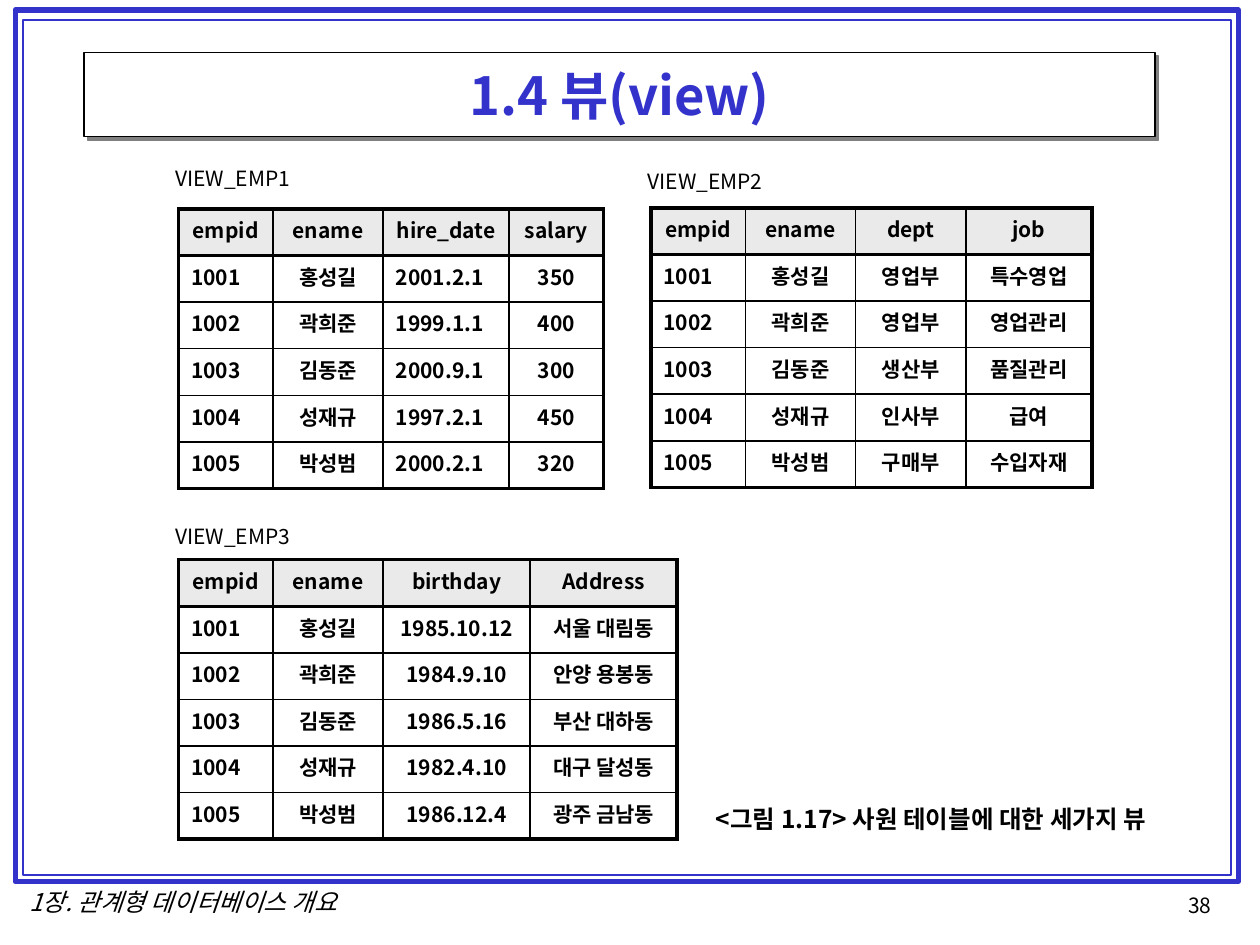
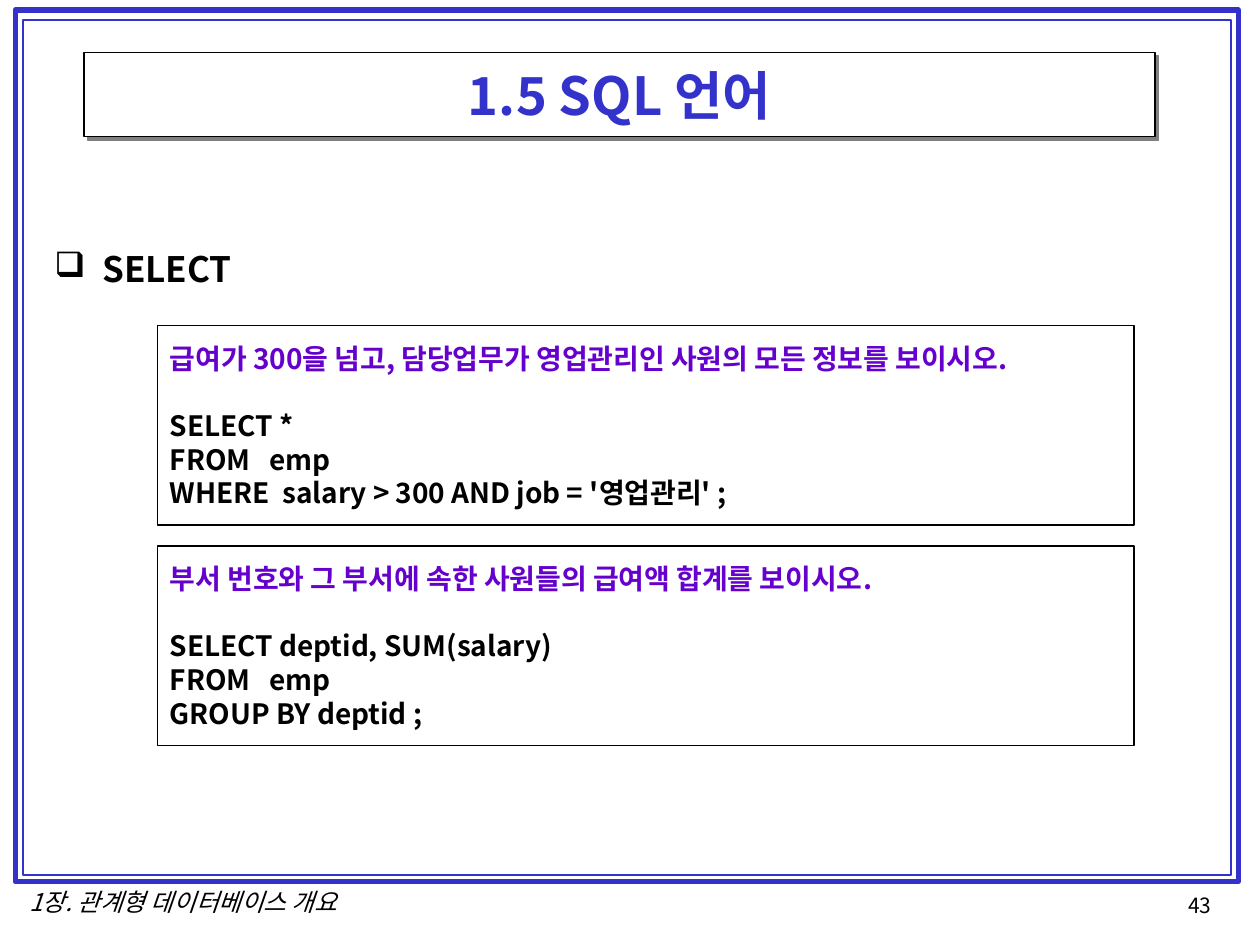
from lxml.etree import SubElement
from pptx import Presentation
from pptx.dml.color import RGBColor
from pptx.enum.shapes import MSO_SHAPE as Shape
from pptx.enum.text import MSO_ANCHOR as Anchor, PP_ALIGN as Align
from pptx.oxml import parse_xml
from pptx.oxml.ns import nsdecls, qn
from pptx.util import Inches, Pt

FONT = "Noto Sans CJK KR"
BLACK, WHITE, BLUE, PURPLE = "000000", "FFFFFF", "3333CC", "6600CC"
HEADER_GREY, SHADOW_GREY = "EAEAEA", "808080"
UNITS_PER_INCH = 12
ROW_HEIGHT = 4.44
THIN, THICK = 1, 2.25

CHAPTER = "1장. 관계형 데이터베이스 개요"
FRAMES = [((1.44, 0.96, 116.5, 83), 3), ((2.16, 1.92, 115.1, 81.4), 1)]
TITLE_BOX = (8, 5, 102, 8)

EMPLOYEES = [("1001", "홍성길"), ("1002", "곽희준"), ("1003", "김동준"),
             ("1004", "성재규"), ("1005", "박성범")]
EMPLOYEE_COLUMNS = [("empid", 9), ("ename", 10.5)]
LEFT_ALIGNED = {"empid", "hire_date"}

VIEWS = [
    dict(name="VIEW_EMP1", left=17, top=19.9, label_top=15.2,
         columns=[("hire_date", 12), ("salary", 9)],
         rows=[("2001.2.1", "350"), ("1999.1.1", "400"), ("2000.9.1", "300"),
               ("1997.2.1", "450"), ("2000.2.1", "320")]),
    dict(name="VIEW_EMP2", left=62, top=19.8, label_top=15.5,
         columns=[("dept", 10.5), ("job", 12)],
         rows=[("영업부", "특수영업"), ("영업부", "영업관리"), ("생산부", "품질관리"),
               ("인사부", "급여"), ("구매부", "수입자재")]),
    dict(name="VIEW_EMP3", left=17, top=53.3, label_top=49.3,
         columns=[("birthday", 14), ("Address", 14)],
         rows=[("1985.10.12", "서울 대림동"), ("1984.9.10", "안양 용봉동"),
               ("1986.5.16", "부산 대하동"), ("1982.4.10", "대구 달성동"),
               ("1986.12.4", "광주 금남동")]),
]
CAPTION = "<그림 1.17> 사원 테이블에 대한 세가지 뷰"

QUERIES = [
    ("급여가 300을 넘고, 담당업무가 영업관리인 사원의 모든 정보를 보이시오.",
     ["SELECT *", "FROM   emp", "WHERE  salary > 300 AND job = '영업관리' ;"]),
    ("부서 번호와 그 부서에 속한 사원들의 급여액 합계를 보이시오.",
     ["SELECT deptid, SUM(salary)", "FROM   emp", "GROUP BY deptid ;"]),
]
QUERY_TOP, QUERY_STEP = 31, 21


def rgb(color):
    return RGBColor.from_string(color)


def grid(*units):
    return [Inches(unit / UNITS_PER_INCH) for unit in units]


def write(paragraph, text, size=12, color=BLACK, bold=False, italic=False,
          align=Align.LEFT, before=0, bullet=None):
    if bullet:
        properties = paragraph._p.get_or_add_pPr()
        indent = Inches(0.38)
        properties.set("marL", str(indent))
        properties.set("indent", str(-indent))
        SubElement(properties, qn("a:buChar")).set("char", bullet)
    paragraph.alignment = align
    paragraph.line_spacing = Pt(1.2 * size)
    if before:
        paragraph.space_before = Pt(before)
    run = paragraph.add_run()
    run.text = text
    font = run.font
    font.name, font.size, font.bold, font.italic = FONT, Pt(size), bold, italic
    font.color.rgb = rgb(color)
    SubElement(run._r.get_or_add_rPr(), qn("a:ea")).set("typeface", FONT)


def add_text(slide, box, text, wrap=False, **style):
    frame = slide.shapes.add_textbox(*grid(*box)).text_frame
    frame.word_wrap = wrap
    write(frame.paragraphs[0], text, **style)


def add_box(slide, box, line, width, fill=None):
    shape = slide.shapes.add_shape(Shape.RECTANGLE, *grid(*box))
    shape.shadow.inherit = False
    if fill:
        shape.fill.solid()
        shape.fill.fore_color.rgb = rgb(fill)
    else:
        shape.fill.background()
    shape.line.color.rgb = rgb(line)
    shape.line.width = Pt(width)
    shape.text_frame.word_wrap = True
    shape.text_frame.vertical_anchor = Anchor.MIDDLE
    return shape


def add_shadow(shape):
    effects = shape._element.spPr.find(qn("a:effectLst"))
    effects.append(parse_xml(
        f'<a:outerShdw {nsdecls("a")} blurRad="0" dist="{Pt(2.8)}" dir="2700000" '
        f'algn="ctr" rotWithShape="0"><a:srgbClr val="{SHADOW_GREY}"/></a:outerShdw>'))


def add_slide(presentation, title, number):
    slide = presentation.slides.add_slide(presentation.slide_layouts[6])
    add_text(slide, (112, 84.4, 5.3, 3.6), str(number))
    add_text(slide, (0, 83.9, 34.9, 4), CHAPTER, size=14, italic=True, align=Align.CENTER)
    for box, width in FRAMES:
        add_box(slide, box, BLUE, width)
    title_shape = add_box(slide, TITLE_BOX, BLACK, 0.75, fill=WHITE)
    add_shadow(title_shape)
    write(title_shape.text_frame.paragraphs[0], title, size=30, color=BLUE,
          bold=True, align=Align.CENTER)
    return slide


def set_borders(cell, widths):
    properties = cell._tc.get_or_add_tcPr()
    for position, (side, width) in enumerate(widths.items()):
        properties.insert(position, parse_xml(
            f'<a:ln{side} {nsdecls("a")} w="{Pt(width)}"><a:solidFill>'
            f'<a:srgbClr val="{BLACK}"/></a:solidFill></a:ln{side}>'))


def add_view(slide, view):
    columns = EMPLOYEE_COLUMNS + view["columns"]
    names = [name for name, _ in columns]
    widths = [width for _, width in columns]
    rows = [names] + [person + extra for person, extra in zip(EMPLOYEES, view["rows"])]
    last_row, last_column = len(rows) - 1, len(columns) - 1

    add_text(slide, (view["left"] - 1.5, view["label_top"], 13.4, 3.6), view["name"])
    table = slide.shapes.add_table(
        len(rows), len(columns),
        *grid(view["left"], view["top"], sum(widths), ROW_HEIGHT * len(rows))).table
    table.first_row = table.horz_banding = False
    for column, width in zip(table.columns, grid(*widths)):
        column.width = width
    for r, values in enumerate(rows):
        table.rows[r].height = grid(ROW_HEIGHT)[0]
        for c, value in enumerate(values):
            cell = table.cell(r, c)
            cell.vertical_anchor = Anchor.MIDDLE
            if r == 0:
                cell.fill.solid()
                cell.fill.fore_color.rgb = rgb(HEADER_GREY)
            else:
                cell.fill.background()
            left_aligned = r > 0 and names[c] in LEFT_ALIGNED
            write(cell.text_frame.paragraphs[0], value, bold=True,
                  align=Align.LEFT if left_aligned else Align.CENTER)
            set_borders(cell, {
                "L": THICK if c == 0 else THIN,
                "R": THICK if c == last_column else THIN,
                "T": THICK if r <= 1 else THIN,
                "B": THICK if r in (0, last_row) else THIN})


def add_query(slide, top, question, code):
    frame = add_box(slide, (15, top, 93, 19), BLACK, 0.75).text_frame
    write(frame.paragraphs[0], question, size=16, color=PURPLE, bold=True)
    for index, line in enumerate(code):
        write(frame.add_paragraph(), line, size=16, bold=True,
              before=19.2 if index == 0 else 0)


def main():
    presentation = Presentation()
    presentation.slide_width, presentation.slide_height = grid(120, 90)

    view_slide = add_slide(presentation, "1.4 뷰(view)", 38)
    for view in VIEWS:
        add_view(view_slide, view)
    add_text(view_slide, (67, 76, 46.8, 4), CAPTION, size=14, bold=True)

    sql_slide = add_slide(presentation, "1.5 SQL 언어", 43)
    add_text(sql_slide, (4, 23, 112, 58), "SELECT", wrap=True, size=20,
             bold=True, bullet="❑")
    for index, (question, code) in enumerate(QUERIES):
        add_query(sql_slide, QUERY_TOP + index * QUERY_STEP, question, code)

    presentation.save("out.pptx")


if __name__ == "__main__":
    main()
